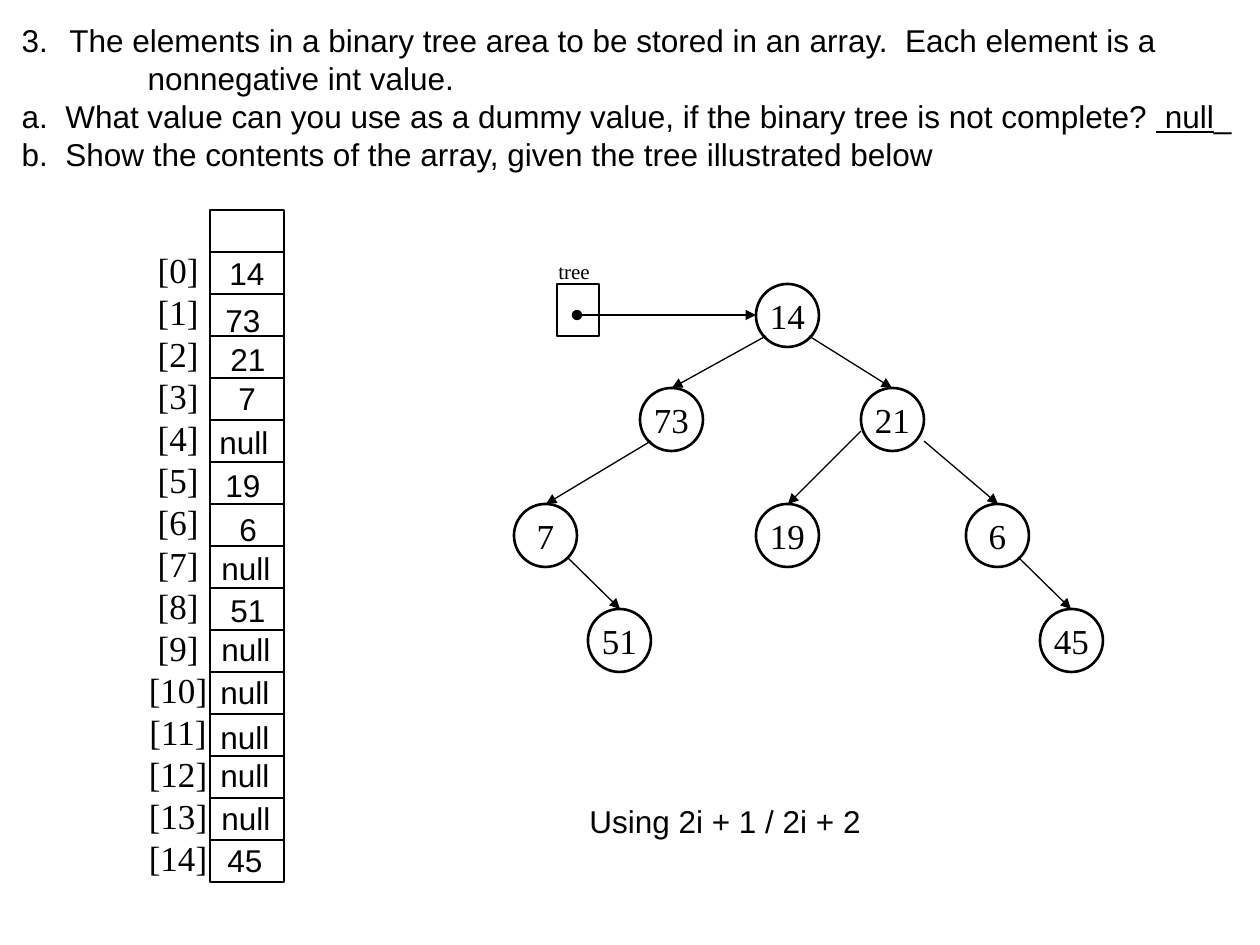
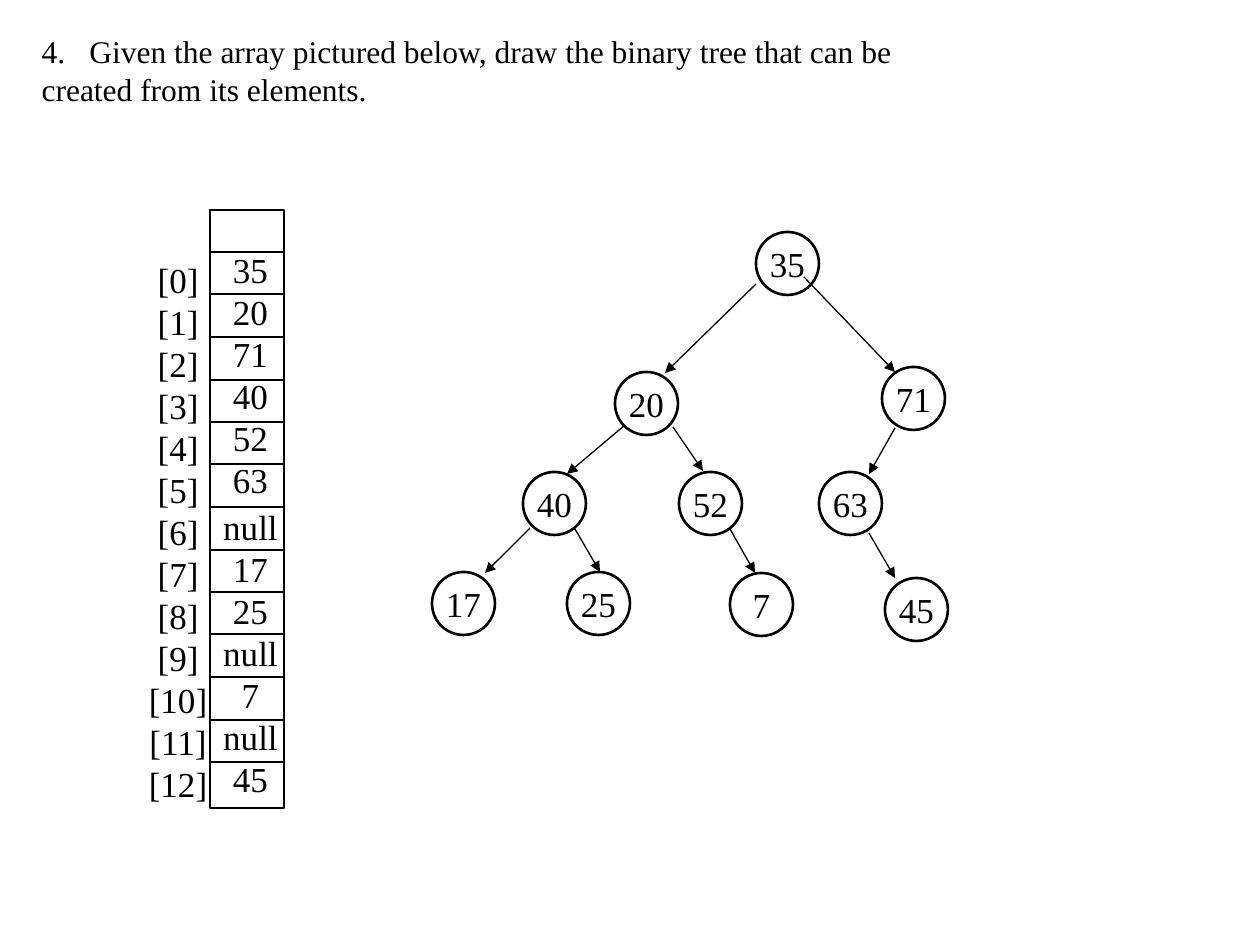
from lxml.etree import SubElement
from pptx import Presentation
from pptx.dml.color import RGBColor
from pptx.enum.shapes import MSO_CONNECTOR, MSO_SHAPE
from pptx.enum.text import MSO_ANCHOR, MSO_AUTO_SIZE, PP_ALIGN
from pptx.oxml.ns import qn
from pptx.util import Inches, Pt

SCALE = 914400 / 126  # EMU per pixel
BLACK = RGBColor(0, 0, 0)
SANS, SERIF = "Arial", "Times New Roman"
LEFT, MID = PP_ALIGN.LEFT, PP_ALIGN.CENTER
NODE = 63  # circle diameter
COL, TOP, WIDE, ROW = 210, 210, 74, 42  # array column


def px(*nums):
    return [round(n * SCALE) for n in nums]


def write(para, text, font=SERIF, size=20, align=LEFT, gap=0, under=None):
    """Add one run to a paragraph and format both."""
    para.alignment = align
    para.line_spacing = Pt(size * 1.2)
    para.space_before = Pt(gap)
    run = para.add_run()
    run.text = text
    run.font.name, run.font.size = font, Pt(size)
    run.font.color.rgb = BLACK
    run.font.underline = under


def rows(frame, texts, gaps=None, **form):
    """Write one paragraph per text; gaps maps a row to its space before."""
    for i, text in enumerate(texts):
        para = frame.add_paragraph() if i else frame.paragraphs[0]
        write(para, text, gap=(gaps or {}).get(i, 0), **form)


def box(shapes, area, texts, wrap=False, **form):
    frame = shapes.add_textbox(*px(*area)).text_frame
    frame.word_wrap = wrap
    rows(frame, texts, **form)


def outline(shapes, kind, area, width):
    shape = shapes.add_shape(kind, *px(*area))
    shape.shadow.inherit = False
    shape.fill.background()
    shape.line.color.rgb, shape.line.width = BLACK, Pt(width)
    return shape


def stroke(shapes, ends, head=None, tail=None):
    link = shapes.add_connector(MSO_CONNECTOR.STRAIGHT, *px(*ends))
    link.line.color.rgb, link.line.width = BLACK, Pt(0.75)
    props = link._element.spPr
    for tag, kind in (("a:headEnd", head), ("a:tailEnd", tail)):
        if kind:
            SubElement(props.find(qn("a:ln")), qn(tag), type=kind)
    SubElement(props, qn("a:effectLst"))


def indent(para, left, hang=0.38, start=None):
    """Set a hanging indent, with a number when start is given."""
    props = para._p.get_or_add_pPr()
    props.set("marL", str(Inches(left)))
    props.set("indent", str(-Inches(hang)))
    if start:
        SubElement(props, qn("a:buFont"), typeface="+mj-lt")
        SubElement(props, qn("a:buAutoNum"), type="arabicPeriod",
                   startAt=str(start))


def ask(slide, area, texts, font):
    """Put the question in the title placeholder."""
    title = slide.shapes.title
    title.left, title.top, title.width, title.height = px(*area)
    frame = title.text_frame
    frame.auto_size = MSO_AUTO_SIZE.NONE
    frame.vertical_anchor = MSO_ANCHOR.TOP
    frame.word_wrap = False
    rows(frame, texts, font=font, size=18)
    return frame.paragraphs


def array(slide, count, height, step, top):
    """Draw the column of cells with its index labels."""
    group = slide.shapes.add_group_shape().shapes
    outline(group, MSO_SHAPE.RECTANGLE, (COL, TOP, WIDE, height), 0.75)
    box(group, (136, top, 84, count * ROW + 13),
        [f"[{i}]" for i in range(count)], align=MID)
    for i in range(count):
        y = round(TOP + ROW + i * step)
        stroke(group, (COL, y, COL + WIDE, y))


def tree(slide, nodes, edges):
    for text, x, y in nodes:
        shape = outline(slide.shapes, MSO_SHAPE.OVAL, (x, y, NODE, NODE), 1.5)
        frame = shape.text_frame
        frame.word_wrap = False
        frame.vertical_anchor = MSO_ANCHOR.MIDDLE
        rows(frame, [text], align=MID)
    for ends in edges:
        stroke(slide.shapes, ends, tail="triangle")


def store(slide):
    """Question 3: store a tree in an array."""
    paras = ask(slide, (9, 15, 1246, 165), [
        "The elements in a binary tree area to be stored in an array.  "
        "Each element is a ",
        "nonnegative int value.",
        "a.  What value can you use as a dummy value, "
        "if the binary tree is not complete? ",
        "b.  Show the contents of the array, given the tree illustrated below",
    ], SANS)
    write(paras[2], " null", font=SANS, size=18, under=True)
    write(paras[2], "_", font=SANS, size=18)
    indent(paras[0], 0.38, start=3)
    indent(paras[1], 1.38)
    indent(paras[2], 0.38)
    indent(paras[3], 0.38)

    tree(slide, [
        ("14", 756, 284), ("73", 640, 388), ("21", 861, 388), ("7", 514, 504),
        ("51", 588, 609), ("19", 756, 504), ("6", 966, 504), ("45", 1040, 609),
    ], [
        (766, 336, 672, 388), (809, 336, 892, 388), (651, 441, 546, 504),
        (861, 431, 788, 504), (567, 557, 620, 609), (924, 441, 998, 504),
        (1018, 557, 1071, 609),
    ])

    # Root pointer
    shapes = slide.shapes
    outline(shapes, MSO_SHAPE.RECTANGLE, (557, 284, 42, 52), 0.75)
    stroke(shapes, (577, 315, 756, 315), head="oval", tail="triangle")
    box(shapes, (546, 252, 57, 38), ["tree"], size=12)

    # Array and its handwritten-style answers
    array(slide, 15, 672, ROW, 242)
    box(shapes, (577, 796, 300, 50), ["Using 2i + 1 / 2i + 2"],
        font=SANS, size=18)
    for text, x, y in [
        ("14", 217, 248), ("73", 213, 295), ("21", 218, 334), ("7", 226, 373),
        ("null", 207, 417), ("19", 213, 460), ("6", 227, 504),
        ("null", 209, 543), ("51", 218, 585), ("null", 209, 624),
        ("null", 208, 667), ("null", 208, 712), ("null", 208, 750),
        ("null", 209, 793), ("45", 215, 835),
    ]:
        box(shapes, (x, y, 84, 50), [text], wrap=True, font=SANS, size=18)


def build(slide):
    """Question 4: draw the tree of an array."""
    paras = ask(slide, (29, 26, 885, 90), [
        "Given the array pictured below, draw the binary tree that can be",
        "created from its elements.",
    ], SERIF)
    indent(paras[0], 0.38, start=4)

    values = ["35", "20", "71", "40", "52", "63", "null",
              "17", "25", "null", "7", "null", "45"]
    array(slide, len(values), 598, 42.5, 252)
    box(slide.shapes, (210, 242, 81, 564), values, gaps={6: 3}, align=MID)

    tree(slide, [
        ("35", 756, 232), ("20", 615, 372), ("71", 882, 367), ("40", 523, 472),
        ("52", 679, 472), ("63", 819, 472), ("17", 432, 572), ("25", 567, 572),
        ("7", 730, 573), ("45", 885, 578),
    ], [
        (756, 284, 665, 373), (804, 277, 895, 372), (869, 533, 895, 578),
        (895, 428, 869, 474), (625, 425, 567, 474), (673, 427, 703, 471),
        (530, 528, 485, 573), (575, 529, 600, 572), (730, 529, 755, 573),
    ])


def main():
    deck = Presentation()
    deck.slide_width, deck.slide_height = Inches(10), Inches(7.5)
    for fill in (store, build):
        fill(deck.slides.add_slide(deck.slide_layouts[5]))
    deck.save("out.pptx")


main()
